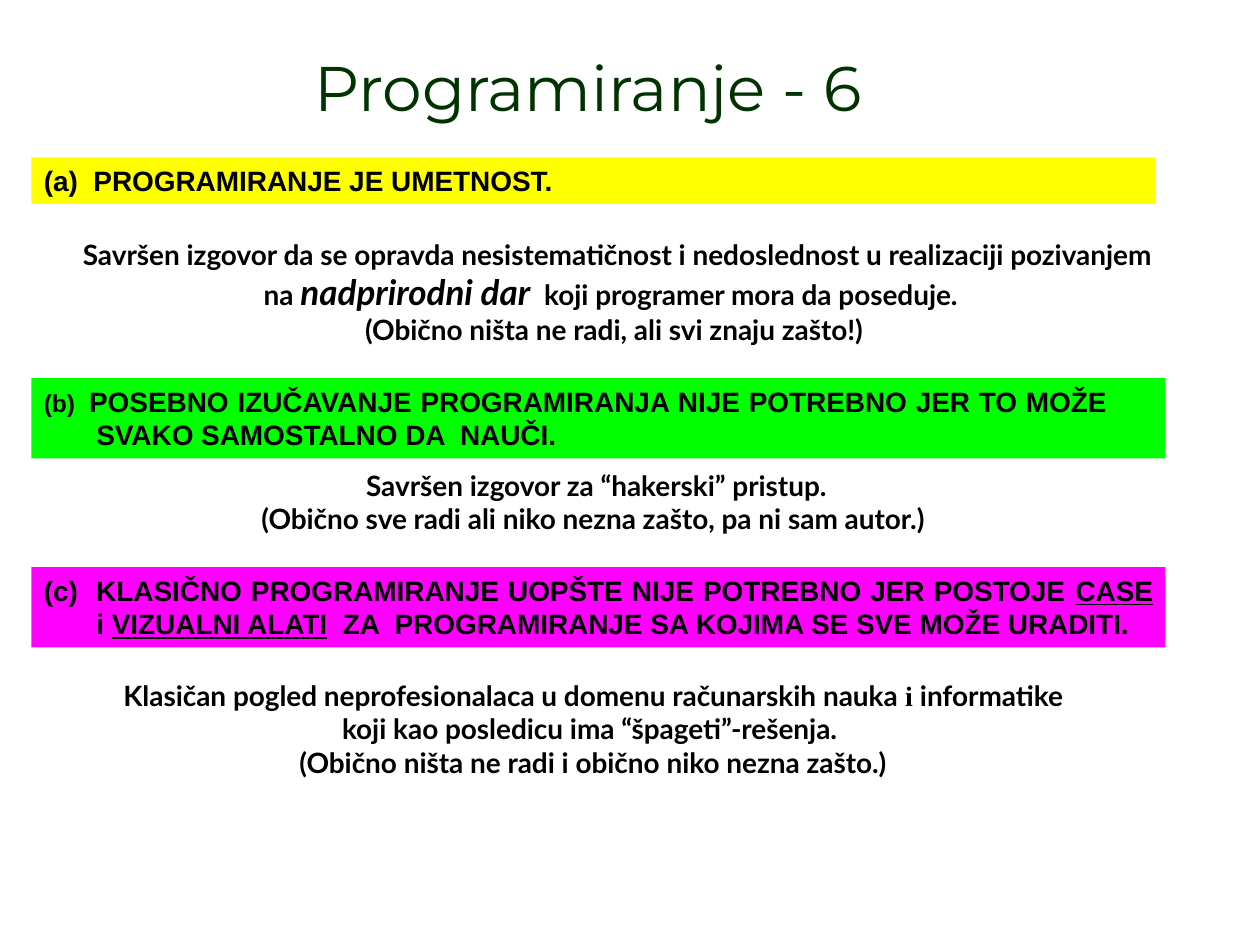
import pptx
import pptx.dml.color
import pptx.enum.shapes
import pptx.enum.text
import pptx.util

Pt = pptx.util.Pt
Align = pptx.enum.text.PP_ALIGN

COLORS = {
    "title": "003300",
    "text": "000000",
    "yellow": "FFFF00",
    "green": "00FF00",
    "magenta": "FF00FF",
}
HANGING_INDENT = 30


def color(name):
    return pptx.dml.color.RGBColor.from_string(COLORS[name])


class SlideBuilder:
    title_font = "Montserrat"
    banner_font = "Arial"
    comment_font = "Lato"
    text_size = 16

    def __init__(self, slide):
        self.slide = slide

    def write_runs(self, paragraph, pieces, font_name):
        """Each piece is a string or a (string, font settings) pair."""
        for piece in pieces:
            text, settings = (piece, {}) if isinstance(piece, str) else piece
            run = paragraph.add_run()
            run.text = text
            run.font.name = settings.get("name", font_name)
            run.font.size = Pt(settings.get("size", self.text_size))
            run.font.bold = True
            run.font.italic = settings.get("italic")
            run.font.underline = settings.get("underline")
            run.font.color.rgb = color("text")

    def title(self, text, left, top, width, height):
        shape = self.slide.shapes.title
        shape.left, shape.top, shape.width, shape.height = map(
            Pt, (left, top, width, height))
        frame = shape.text_frame
        frame.text = text
        frame.vertical_anchor = pptx.enum.text.MSO_ANCHOR.BOTTOM
        frame.auto_size = pptx.enum.text.MSO_AUTO_SIZE.SHAPE_TO_FIT_TEXT
        paragraph = frame.paragraphs[0]
        paragraph.alignment = Align.CENTER
        font = paragraph.runs[0].font
        font.name = self.title_font
        font.size = Pt(36)
        font.color.rgb = color("title")

    def banner(self, pieces, fill, top, width, height, hanging=True, right_inset=7.2):
        shape = self.slide.shapes.add_shape(
            pptx.enum.shapes.MSO_SHAPE.RECTANGLE,
            Pt(18), Pt(top), Pt(width), Pt(height))
        shape.shadow.inherit = False
        shape.fill.solid()
        shape.fill.fore_color.rgb = color(fill)
        shape.line.fill.background()
        frame = shape.text_frame
        frame.word_wrap = True
        frame.vertical_anchor = pptx.enum.text.MSO_ANCHOR.TOP
        frame.auto_size = pptx.enum.text.MSO_AUTO_SIZE.SHAPE_TO_FIT_TEXT
        frame.margin_right = Pt(right_inset)
        paragraph = frame.paragraphs[0]
        paragraph.alignment = Align.JUSTIFY
        if hanging:
            properties = paragraph._p.get_or_add_pPr()
            properties.set("marL", str(Pt(HANGING_INDENT)))
            properties.set("indent", str(-Pt(HANGING_INDENT)))
        self.write_runs(paragraph, pieces, self.banner_font)

    def comment(self, paragraphs, left, top, width, height):
        box = self.slide.shapes.add_textbox(Pt(left), Pt(top), Pt(width), Pt(height))
        frame = box.text_frame
        frame.word_wrap = True
        frame.auto_size = pptx.enum.text.MSO_AUTO_SIZE.SHAPE_TO_FIT_TEXT
        for index, pieces in enumerate(paragraphs):
            paragraph = frame.add_paragraph() if index else frame.paragraphs[0]
            paragraph.alignment = Align.CENTER
            self.write_runs(paragraph, pieces, self.comment_font)


def main():
    presentation = pptx.Presentation()
    presentation.slide_width, presentation.slide_height = Pt(720), Pt(540)
    title_only = presentation.slide_layouts[5]
    builder = SlideBuilder(presentation.slides.add_slide(title_only))

    builder.title("Programiranje - 6", 90, 24, 492, 50.4)

    builder.banner(["(a)  PROGRAMIRANJE JE UMETNOST."],
                   "yellow", 90, 642, 26.6, hanging=False)
    builder.comment([
        [" Savršen izgovor da se opravda nesistematičnost i nedoslednost "
         "u realizaciji pozivanjem na ",
         ("nadprirodni dar", {"size": 20, "italic": True}),
         "  koji programer mora da poseduje. "],
        ["(Obično ništa ne radi, ali svi znaju zašto!)"],
    ], 36, 132, 630, 70)

    builder.banner([
        ("(b)", {"size": 14}),
        ("  ", {"size": 12}),
        "POSEBNO IZUČAVANJE PROGRAMIRANJA NIJE POTREBNO JER TO MOŽE "
        "SVAKO SAMOSTALNO DA  NAUČI.",
    ], "green", 216, 648, 46, right_inset=33)
    builder.comment([
        [" Savršen izgovor za “hakerski” pristup."],
        ["(Obično sve radi ali niko nezna zašto, pa ni sam autor.)"],
    ], 54, 264, 570, 46)

    builder.banner([
        "(c)  KLASIČNO PROGRAMIRANJE UOPŠTE NIJE POTREBNO JER POSTOJE ",
        ("CASE", {"underline": True}),
        " i ",
        ("VIZUALNI ALATI", {"underline": True}),
        "  ZA  PROGRAMIRANJE SA KOJIMA SE SVE MOŽE URADITI.",
    ], "magenta", 324, 648, 46)
    builder.comment([
        ["Klasičan pogled neprofesionalaca u domenu računarskih nauka ",
         ("i ", {"name": "Times New Roman"}),
         "informatike koji kao posledicu ima “špageti”-rešenja. "],
        ["(Obično ništa ne radi i obično niko nezna zašto.)"],
    ], 54, 384, 570, 65)

    presentation.save("out.pptx")


if __name__ == "__main__":
    main()
